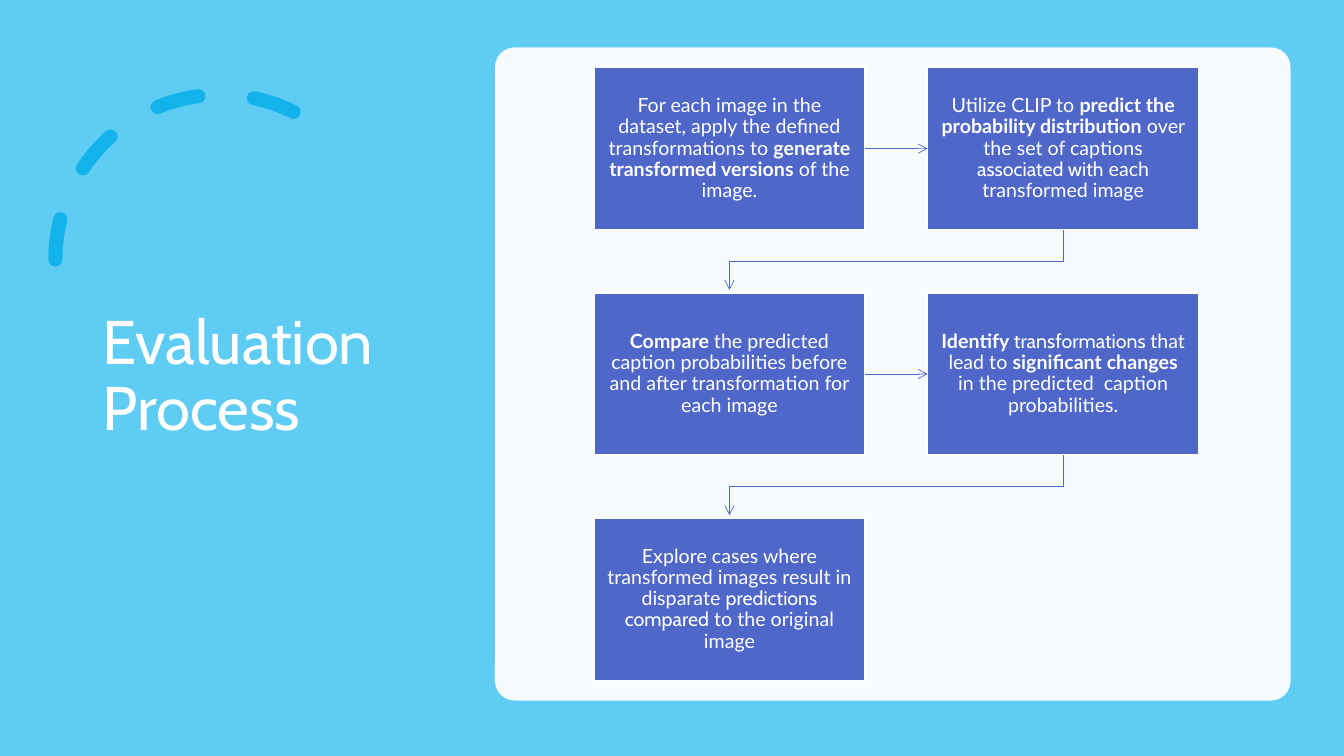
import pptx
import pptx.util
import pptx.dml.color
import pptx.enum.dml
import pptx.enum.shapes
import pptx.enum.text
import pptx.oxml
import pptx.oxml.ns
from lxml import etree

Inches, Pt = pptx.util.Inches, pptx.util.Pt
RGBColor = pptx.dml.color.RGBColor
SHAPE = pptx.enum.shapes.MSO_SHAPE
qn = pptx.oxml.ns.qn

SKY = RGBColor(0x5E, 0xCC, 0xF3)
ARC_BLUE = RGBColor(0x12, 0xB2, 0xEB)
INDIGO = RGBColor(0x4E, 0x67, 0xC8)
WHITE = RGBColor(0xFF, 0xFF, 0xFF)

# Run styles: font and bold
PLAIN, BOLD, ALT = ("Lato", False), ("Lato", True), ("Cabin", False)

STEPS = [
    [("For each image in the dataset, apply the defined transformations to ", PLAIN),
     ("generate transformed versions", BOLD), (" of the image.", PLAIN)],
    [("Utilize CLIP to ", PLAIN), ("predict the probability distribution", BOLD),
     (" over the set of captions ", PLAIN), ("associated with", ALT),
     (" each transformed image", PLAIN)],
    [("Compare ", BOLD),
     ("the predicted caption probabilities before and after transformation "
      "for each image", PLAIN)],
    [("Identify ", BOLD), ("transformations ", ALT), ("that lead to ", PLAIN),
     ("significant changes", BOLD), (" in the predicted  caption probabilities.", PLAIN)],
    [("Explore cases where transformed images result in disparate ", PLAIN),
     ("predictions compared", ALT), (" to the original image", PLAIN)],
]
COLUMNS = 2
STEP_W, STEP_H = 2.69, 1.61
PITCH_X, PITCH_Y = 3.31, 2.235
ARROW_GAP = 0.03


def add_runs(p, runs, size):
    p.line_spacing = 0.9
    for text, (font, bold) in runs:
        r = p.add_run()
        r.text = text
        r.font.name, r.font.bold = font, bold
        r.font.size = Pt(size)
        r.font.color.rgb = WHITE


def add_title(slide, left, top, width, height):
    sp = slide.shapes.add_textbox(Inches(left), Inches(top), Inches(width), Inches(height))
    tf = sp.text_frame
    tf.word_wrap = True
    tf.vertical_anchor = pptx.enum.text.MSO_ANCHOR.MIDDLE
    add_runs(tf.paragraphs[0], [("Evaluation Process", ALT)], 44)


def add_dashed_arc(slide, left, top, size):
    arc = slide.shapes.add_shape(SHAPE.ARC, Inches(left), Inches(top),
                                 Inches(size), Inches(size))
    arc.shadow.inherit = False
    arc.adjustments[0], arc.adjustments[1] = 146.13, 0
    arc.fill.background()
    arc.line.color.rgb = ARC_BLUE
    arc.line.width = Pt(10)
    arc.line.dash_style = pptx.enum.dml.MSO_LINE.DASH
    arc.line._get_or_add_ln().set("cap", "rnd")
    arc._element.spPr.find(qn("a:xfrm")).set("flipH", "1")


def add_panel(slide, left, top, width, height):
    panel = slide.shapes.add_shape(SHAPE.ROUNDED_RECTANGLE, Inches(left), Inches(top),
                                   Inches(width), Inches(height))
    panel.shadow.inherit = False
    panel.adjustments[0] = 0.03
    panel.fill.solid()
    panel.fill.fore_color.rgb = WHITE
    color = panel._element.spPr.find(qn("a:solidFill")).find(qn("a:srgbClr"))
    etree.SubElement(color, qn("a:alpha")).set("val", "95000")
    panel.line.fill.background()


def add_step(slide, left, top, runs):
    sp = slide.shapes.add_shape(SHAPE.RECTANGLE, Inches(left), Inches(top),
                                Inches(STEP_W), Inches(STEP_H))
    sp.shadow.inherit = False
    sp.fill.solid()
    sp.fill.fore_color.rgb = INDIGO
    sp.line.color.rgb = WHITE
    sp.line.width = Pt(1)
    tf = sp.text_frame
    tf.word_wrap = True
    tf.vertical_anchor = pptx.enum.text.MSO_ANCHOR.MIDDLE
    tf.margin_left = tf.margin_right = Inches(0.13)
    tf.margin_top = tf.margin_bottom = Inches(0.14)
    tf.paragraphs[0].alignment = pptx.enum.text.PP_ALIGN.CENTER
    add_runs(tf.paragraphs[0], runs, 14)
    return sp


def style_arrow(arrow):
    arrow.line.color.rgb = INDIGO
    arrow.line.width = Pt(0.5)
    etree.SubElement(arrow.line._get_or_add_ln(), qn("a:tailEnd")).set("type", "arrow")


def add_arrow_across(slide, source, target):
    arrow = slide.shapes.add_connector(pptx.enum.shapes.MSO_CONNECTOR.STRAIGHT, 0, 0, 0, 0)
    arrow.begin_connect(source, 3)
    arrow.end_connect(target, 1)
    style_arrow(arrow)
    etree.SubElement(arrow._element.spPr, qn("a:effectLst"))


def add_arrow_to_next_row(slide, source, target):
    """Draw a bent arrow from the bottom of source to just above target."""
    start_x = source.left + source.width // 2
    end_x = target.left + target.width // 2
    bottom = source.top + source.height
    bend_y = (bottom + target.top) // 2
    builder = slide.shapes.build_freeform(start_x, bottom)
    builder.add_line_segments([(start_x, bend_y), (end_x, bend_y),
                               (end_x, target.top - Inches(ARROW_GAP))], close=False)
    arrow = builder.convert_to_shape()
    arrow.shadow.inherit = False
    arrow.fill.background()
    style_arrow(arrow)


def add_process(slide, left, top):
    boxes = []
    for i, runs in enumerate(STEPS):
        row, column = divmod(i, COLUMNS)
        boxes.append(add_step(slide, left + column * PITCH_X, top + row * PITCH_Y, runs))
    for source, target in zip(boxes, boxes[1:]):
        same_row = source.top == target.top
        add_arrow = add_arrow_across if same_row else add_arrow_to_next_row
        add_arrow(slide, source, target)


def main():
    prs = pptx.Presentation()
    prs.slide_width, prs.slide_height = Inches(13.33), Inches(7.5)
    slide = prs.slides.add_slide(prs.slide_layouts[6])
    slide.background.fill.solid()
    slide.background.fill.fore_color.rgb = SKY
    add_dashed_arc(slide, 0.55, 0.94, 3.27)
    add_title(slide, 0.92, 0.7, 3.23, 6.09)
    add_panel(slide, 4.91, 0.47, 7.89, 6.48)
    add_process(slide, 5.89, 0.67)
    prs.save("out.pptx")


if __name__ == "__main__":
    main()
